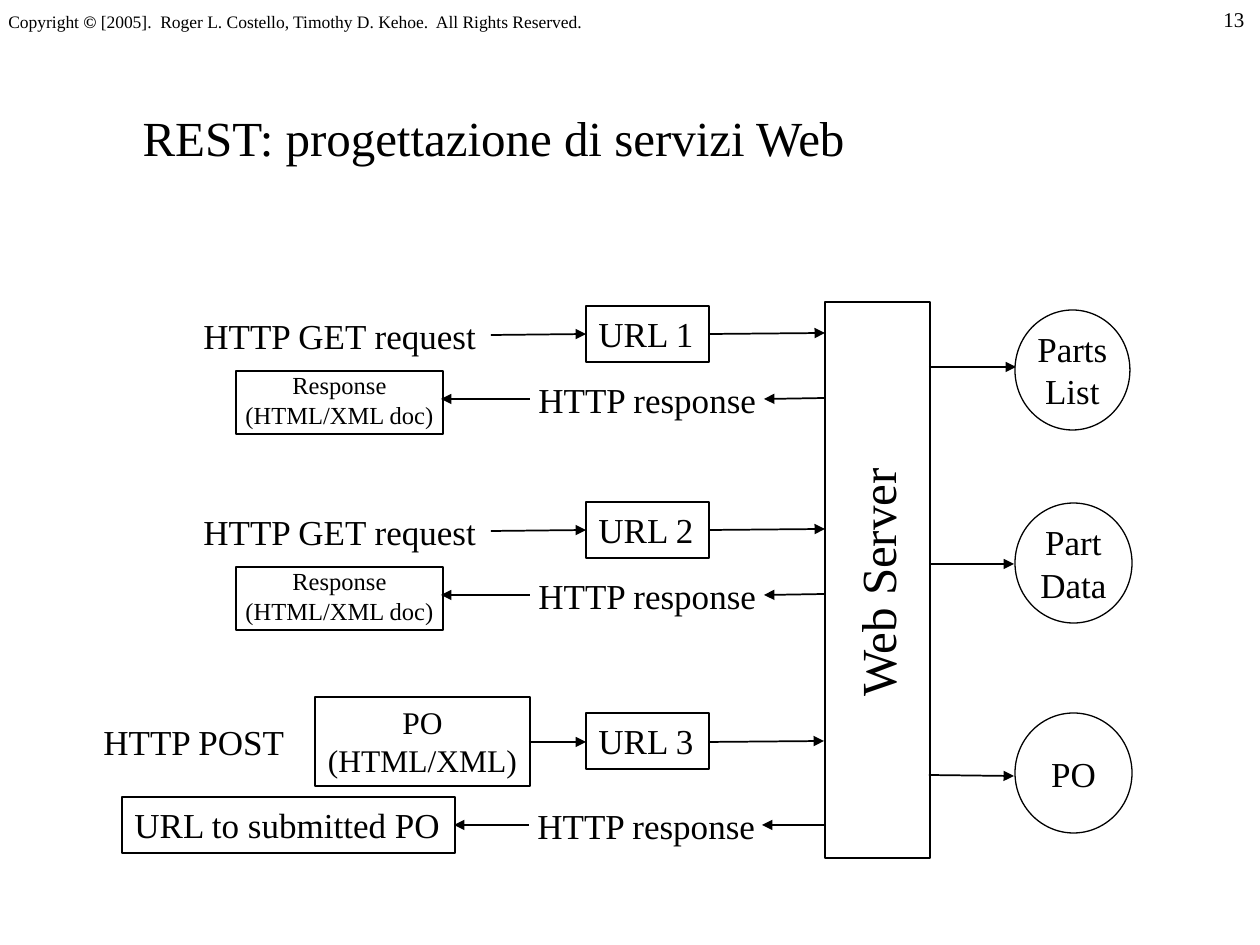
from lxml.etree import SubElement
from pptx import Presentation
from pptx.dml.color import RGBColor
from pptx.enum.shapes import MSO_CONNECTOR, MSO_SHAPE as Preset
from pptx.enum.text import MSO_ANCHOR as Anchor, MSO_AUTO_SIZE as AutoSize, PP_ALIGN as Align
from pptx.oxml.ns import qn
from pptx.util import Emu, Pt
from dataclasses import dataclass

PIXEL = 914400 / 126


@dataclass(frozen=True)
class Theme:
    """Colours, font, type sizes and line widths of the slide."""
    ink: RGBColor = RGBColor(0, 0, 0)
    paper: RGBColor = RGBColor(255, 255, 255)
    font: str = "Times New Roman"
    heading: float = 28
    label: float = 20
    document: float = 18
    response: float = 14
    number: float = 12
    notice: float = 10
    thin: float = 0.75
    strong: float = 1


theme = Theme()


def write(shape, text, size, align=Align.LEFT, **frame_format):
    """Fill a shape with text; newlines part paragraphs, asterisks enclose bold."""
    frame = shape.text_frame
    defaults = {"word_wrap": False, "auto_size": AutoSize.NONE, "vertical_anchor": Anchor.TOP}
    for name, value in (defaults | frame_format).items():
        setattr(frame, name, value)
    for index, line in enumerate(text.split("\n")):
        paragraph = frame.paragraphs[0] if index == 0 else frame.add_paragraph()
        paragraph.alignment = align
        for order, piece in enumerate(line.split("*")):
            run = paragraph.add_run()
            run.text = piece
            run_format = {"name": theme.font, "size": Pt(size), "bold": order % 2 == 1}
            for name, value in run_format.items():
                setattr(run.font, name, value)
            run.font.color.rgb = theme.ink


def connect(shapes, *ends):
    """Draw an arrow whose head is at the second point (x1, y1, x2, y2)."""
    arrow = shapes.add_connector(MSO_CONNECTOR.STRAIGHT, *(Emu(round(n * PIXEL)) for n in ends))
    arrow.line.color.rgb = theme.ink
    arrow.line.width = Pt(theme.strong)
    properties = arrow._element.spPr
    SubElement(properties.find(qn("a:ln")), qn("a:tailEnd"), type="triangle")
    SubElement(properties, qn("a:effectLst"))


deck = Presentation()
deck.slide_width, deck.slide_height = Emu(round(1260 * PIXEL)), Emu(round(945 * PIXEL))
slide = deck.slides.add_slide(deck.slide_layouts[5])
shapes = slide.shapes

title = shapes.title
title_box = {"left": 130, "top": 84, "width": 1000, "height": 158}
for name, value in title_box.items():
    setattr(title, name, Emu(round(value * PIXEL)))
write(title, "REST: progettazione di servizi Web", theme.heading,
      word_wrap=True, margin_top=Emu(round(23 * PIXEL)))

# Outlined parts: preset, box, text, type size, line width, fill
outlined = [(Preset.RECTANGLE, (825, 302, 105, 556), "", theme.label, theme.strong, theme.paper)]
# Plain labels: box, text, type size, alignment
labels = [
    ((1211, 0, 49, 38), "13", theme.number, Align.LEFT),
    ((-4, 5, 614, 38), "Copyright *©* [2005].  Roger L. Costello, Timothy D. Kehoe.  All Rights Reserved.",
     theme.notice, Align.LEFT),
    ((91, 714, 207, 54), "HTTP POST", theme.label, Align.LEFT),
    ((525, 798, 244, 54), "HTTP response", theme.label, Align.LEFT),
]
arrows = [
    (929, 367, 1016, 367), (930, 564, 1014, 564), (929, 775, 1014, 776),
    (529, 742, 586, 742), (709, 742, 824, 741),
    (529, 825, 454, 825), (826, 825, 762, 825),
]

# The two GET exchanges are the same, one step apart
for order in range(2):
    shift = order * 196
    outlined += [
        (Preset.RECTANGLE, (236, 371 + shift, 207, 63), "", theme.response, theme.strong, theme.paper),
    ]
    labels += [
        ((191, 308 + shift, 300, 54), "HTTP GET request", theme.label, Align.LEFT),
        ((526, 372 + shift, 244, 54), "HTTP response", theme.label, Align.LEFT),
        ((233, 364 + shift, 213, 72), "Response\n(HTML/XML doc)", theme.response, Align.CENTER),
    ]
    arrows += [
        (491, 335 + shift, 586, 334 + shift), (709, 334 + shift, 825, 333 + shift),
        (530, 399 + shift, 441, 399 + shift), (825, 398 + shift, 764, 399 + shift),
    ]

for order, top in enumerate((306, 502, 713), start=1):
    outlined.append((Preset.RECTANGLE, (586, top, 123, 56), f"URL {order}", theme.label, theme.thin, None))
outlined += [
    (Preset.RECTANGLE, (315, 697, 215, 89), "PO\n(HTML/XML)", theme.document, theme.thin, None),
    (Preset.RECTANGLE, (122, 797, 333, 56), "URL to submitted PO", theme.label, theme.thin, None),
]
for resource, top, width in (("Parts\nList", 310, 115), ("Part\nData", 503, 117), ("PO", 713, 117)):
    outlined.append((Preset.OVAL, (1015, top, width, 120), resource, theme.label, theme.thin, theme.paper))

for preset, box, text, size, width, fill in outlined:
    part = shapes.add_shape(preset, *(Emu(round(n * PIXEL)) for n in box))
    part.shadow.inherit = False
    part.line.color.rgb = theme.ink
    part.line.width = Pt(width)
    if fill is None:
        part.fill.background()
    else:
        part.fill.solid()
        part.fill.fore_color.rgb = fill
    if text:
        centred = preset == Preset.OVAL or "\n" in text
        write(part, text, size, Align.CENTER if centred else Align.LEFT,
              vertical_anchor=Anchor.MIDDLE if preset == Preset.OVAL else Anchor.TOP)

for box, text, size, align in labels:
    label = shapes.add_textbox(*(Emu(round(n * PIXEL)) for n in box))
    write(label, text, size, align)

server_name = shapes.add_textbox(*(Emu(round(n * PIXEL)) for n in (748, 544, 258, 72)))
server_name.rotation = 270
write(server_name, "Web Server", theme.heading)

for ends in arrows:
    connect(shapes, *ends)

deck.save("out.pptx")
